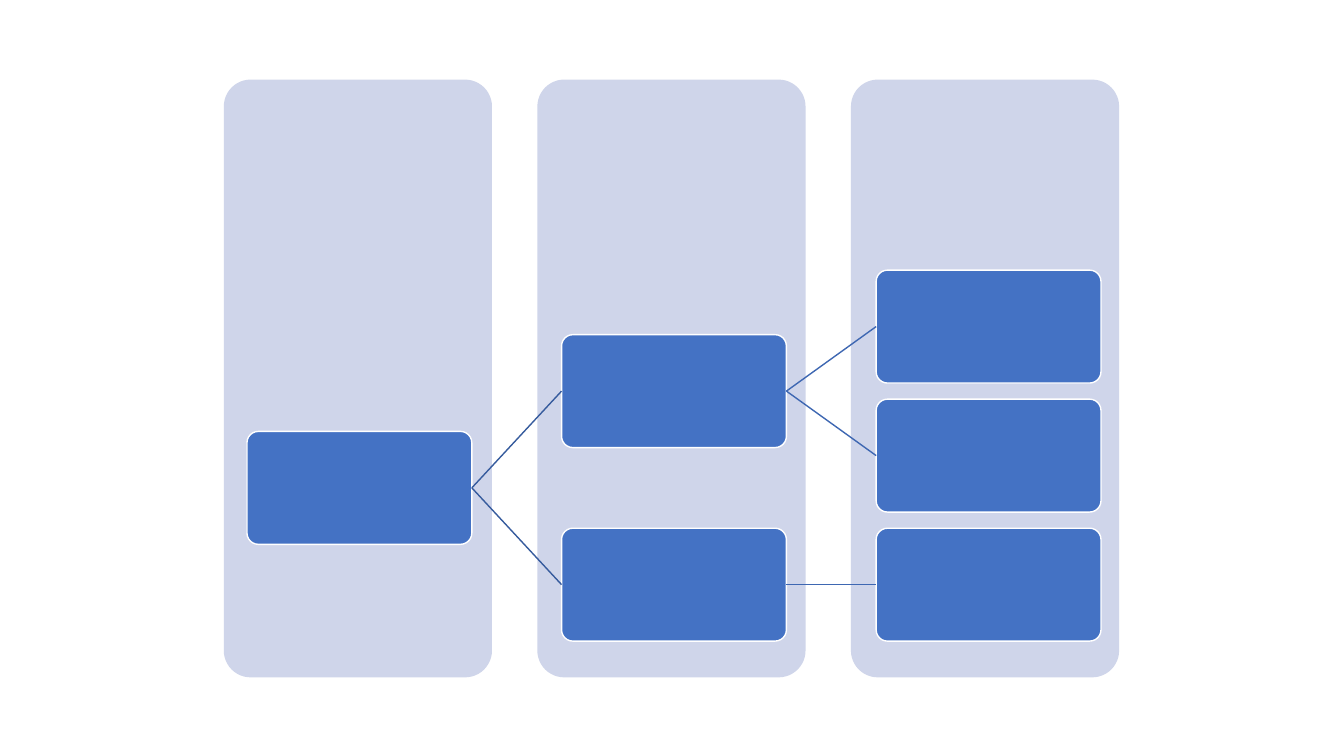
from pptx import Presentation
from pptx.dml.color import RGBColor
from pptx.enum.shapes import MSO_CONNECTOR as Connector, MSO_SHAPE as Shape
from pptx.oxml.ns import qn
from pptx.util import Inches, Pt
from lxml.etree import SubElement

BAND_LEFT, BAND_TOP, BAND_STEP = 2.22, 0.79, 3.11
BAND_WIDTH, BAND_HEIGHT = 2.66, 5.93
BOX_LEFT, BOX_TOP = 2.45, 2.68
COLUMN_STEP, ROW_STEP = 3.12, 1.28
BOX_WIDTH, BOX_HEIGHT = 2.23, 1.12


def color(value):
    return RGBColor.from_string(value)


def add_rounded(left, top, width, height, fill):
    box = page.shapes.add_shape(
        Shape.ROUNDED_RECTANGLE, Inches(left), Inches(top), Inches(width), Inches(height)
    )
    box.adjustments[0] = 0.1
    box.shadow.inherit = False
    box.fill.solid()
    box.fill.fore_color.rgb = color(fill)
    return box


deck = Presentation()
deck.slide_width, deck.slide_height = Inches(13.33), Inches(7.5)
page = deck.slides.add_slide(deck.slide_layouts[6])

for column in reversed(range(3)):
    band = add_rounded(
        BAND_LEFT + column * BAND_STEP, BAND_TOP, BAND_WIDTH, BAND_HEIGHT, "CFD5EA"
    )
    band.line.fill.background()

nodes = {
    "root": (0, 1.25),
    "upper branch": (1, 0.5),
    "first leaf": (2, 0),
    "second leaf": (2, 1),
    "lower branch": (1, 2),
    "third leaf": (2, 2),
}
boxes = {}
for name, (column, row) in nodes.items():
    box = add_rounded(
        BOX_LEFT + column * COLUMN_STEP, BOX_TOP + row * ROW_STEP,
        BOX_WIDTH, BOX_HEIGHT, "4472C4",
    )
    box.line.color.rgb = color("FFFFFF")
    box.line.width = Pt(1)
    boxes[name] = box

links = [
    ("root", "upper branch", "365B9D"),
    ("root", "lower branch", "365B9D"),
    ("upper branch", "first leaf", "3E67B2"),
    ("upper branch", "second leaf", "3E67B2"),
    ("lower branch", "third leaf", "3E67B2"),
]
for parent, child, shade in links:
    link = page.shapes.add_connector(Connector.STRAIGHT, 0, 0, 0, 0)
    link.begin_connect(boxes[parent], 3)
    link.end_connect(boxes[child], 1)
    link.line.color.rgb = color(shade)
    link.line.width = Pt(1)
    SubElement(link._element.spPr, qn("a:effectLst"))

deck.save("out.pptx")
